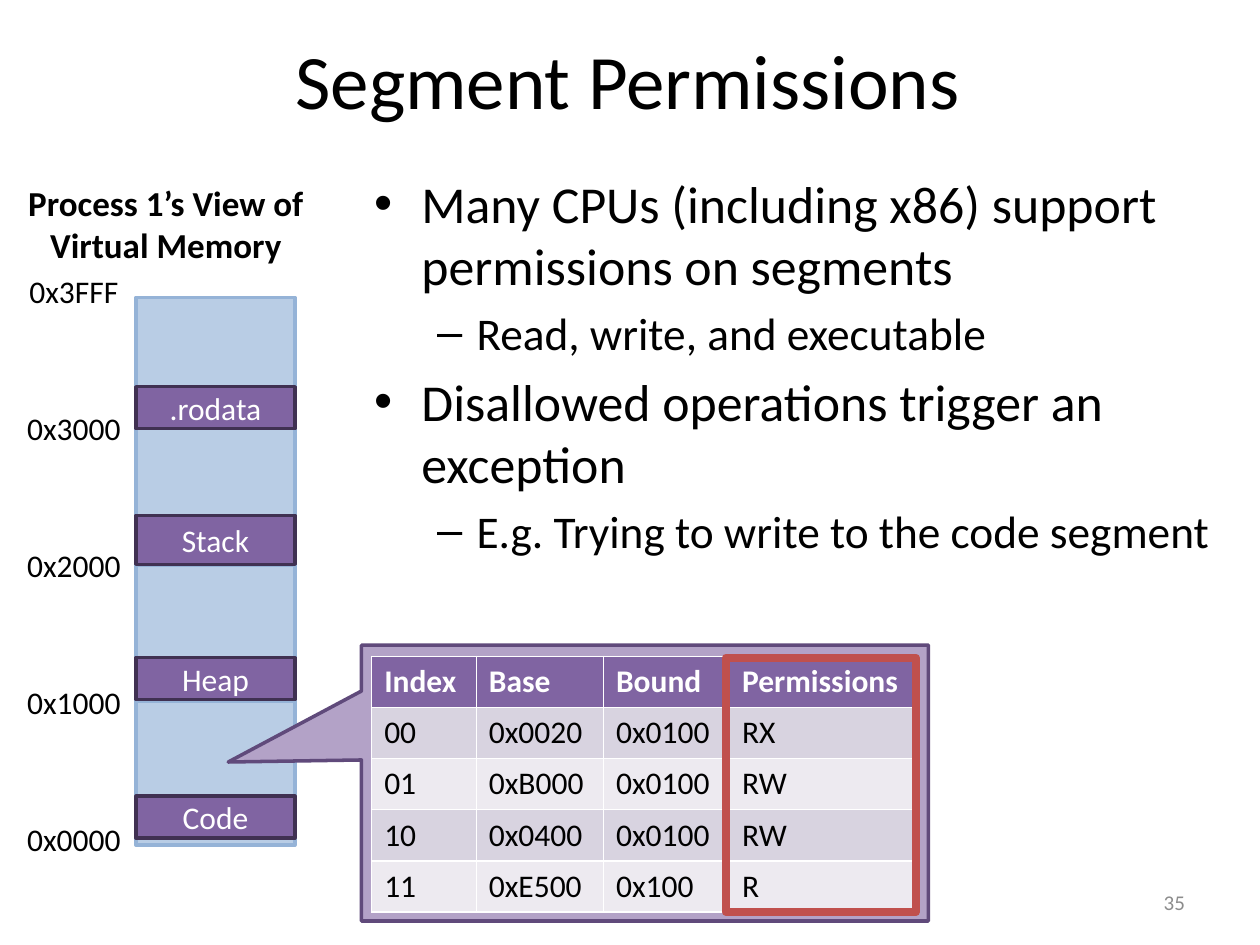
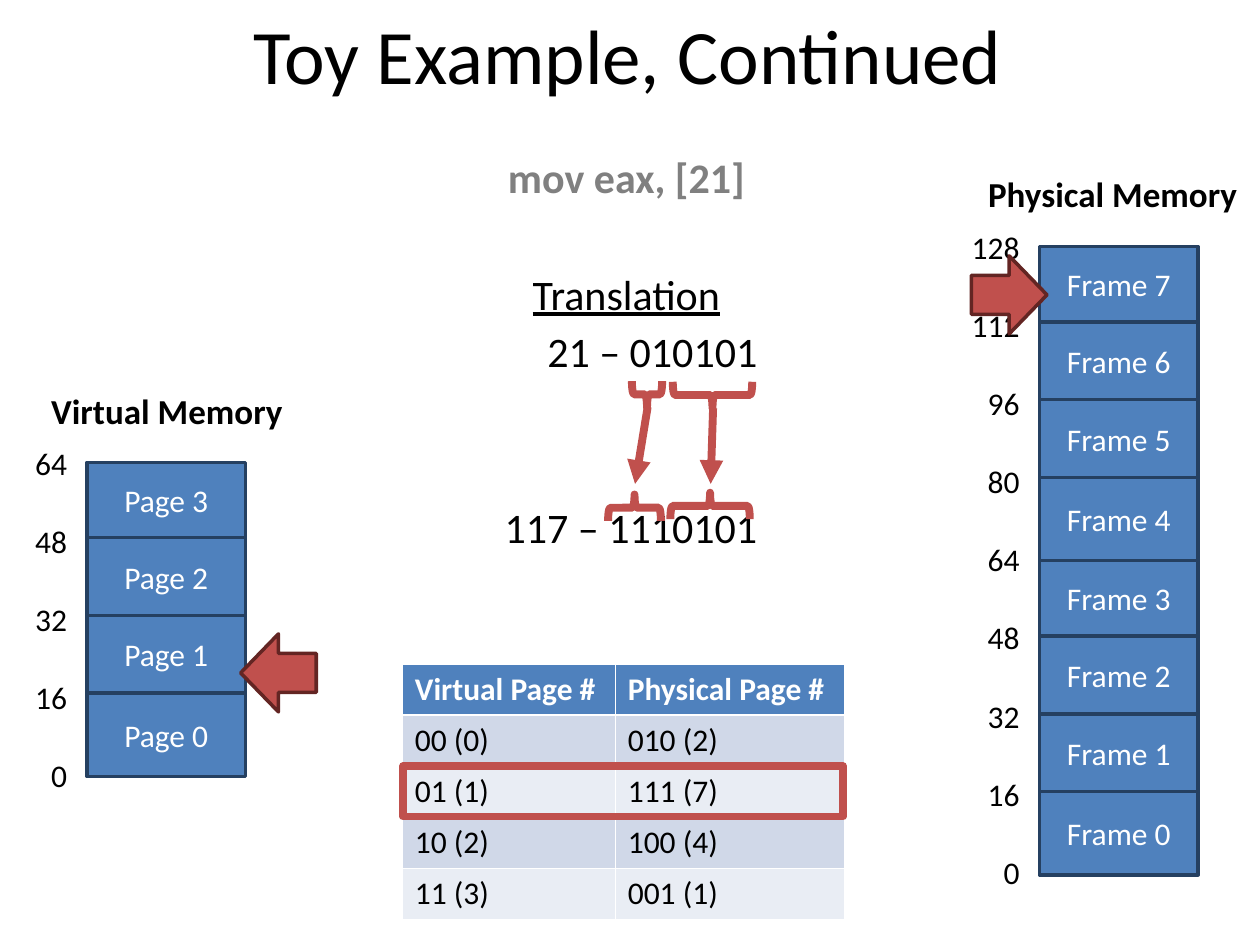
from dataclasses import dataclass
from itertools import cycle, islice

from lxml.etree import SubElement
from pptx import Presentation
from pptx.dml.color import RGBColor as Rgb
from pptx.enum.shapes import MSO_CONNECTOR as Wire, MSO_SHAPE as Kind
from pptx.enum.text import MSO_ANCHOR as Anchor, MSO_AUTO_SIZE as Fit, PP_ALIGN as Align
from pptx.oxml.ns import qn
from pptx.util import Pt


@dataclass(frozen=True)
class Theme:
    font: str = "Calibri"
    ink: str = "000000"
    white: str = "FFFFFF"
    gray: str = "808080"
    pale: str = "8C8C8C"
    sky: str = "B9CDE5"
    rim: str = "95B3D7"
    plum: str = "8064A2"
    dusk: str = "403152"
    lilac: str = "B3A2C7"
    grape: str = "604A7B"
    blue: str = "4F81BD"
    navy: str = "254061"
    red: str = "C0504D"
    wine: str = "632523"
    title: float = 44
    bullet: float = 29.6
    dash: float = 25.9
    code: float = 24
    head: float = 20
    text: float = 18
    note: float = 12
    thin: float = 2
    thick: float = 4.5


look = Theme()


def write(frame, lines, align=None, ink=look.ink, size=look.text, **more):
    form = {"name": look.font, "size": Pt(size), **more}
    for i, line in enumerate(lines):
        para = frame.paragraphs[0] if i == 0 else frame.add_paragraph()
        para.alignment = align
        run = para.add_run()
        run.text = line
        run.font.color.rgb = Rgb.from_string(ink)
        for key, value in form.items():
            setattr(run.font, key, value)


def draw(slide, kind, area, fill=None, line=look.red, width=look.thick, text=None, turn=0):
    shape = slide.shapes.add_shape(kind, *map(Pt, area))
    shape.shadow.inherit = False
    shape.rotation = turn
    if fill:
        shape.fill.solid()
        shape.fill.fore_color.rgb = Rgb.from_string(fill)
    else:
        shape.fill.background()
    shape.line.color.rgb = Rgb.from_string(line)
    shape.line.width = Pt(width)
    if text:
        shape.text_frame.vertical_anchor = Anchor.MIDDLE
        write(shape.text_frame, [text], Align.CENTER, look.white)
    return shape


deck = Presentation()
deck.slide_width, deck.slide_height = Pt(720), Pt(540)

slides, bodies = [], []
for title, high, area in (
    ("Segment Permissions", 90, (206.6, 94.3, 498.2, 252)),
    ("Toy Example, Continued", 61.2, (275.8, 82.8, 164.2, 267.8)),
):
    slide = deck.slides.add_slide(deck.slide_layouts[1])
    head, body = slide.shapes.title, slide.placeholders[1]
    for shape, place in ((head, (3.6, 0, 710.6, high)), (body, area)):
        shape.left, shape.top, shape.width, shape.height = map(Pt, place)
        shape.text_frame.auto_size = Fit.NONE
    head.text_frame.vertical_anchor = Anchor.MIDDLE
    write(head.text_frame, [title], Align.CENTER, size=look.title)
    slides.append(slide)
    bodies.append(body.text_frame)
first, second = slides

points = (
    (0, "Many CPUs (including x86) support permissions on segments"),
    (1, "Read, write, and executable"),
    (0, "Disallowed operations trigger an exception"),
    (1, "E.g. Trying to write to the code segment"),
)
write(bodies[0], [text for level, text in points])
for para, (level, text) in zip(bodies[0].paragraphs, points):
    para.level = level
    para.runs[0].font.size = Pt(look.dash if level else look.bullet)

steps = (
    ("mov eax, [21]", Align.CENTER, 4.2, {"bold": True}, look.gray),
    ("Translation", Align.CENTER, 38, {"underline": True}, look.ink),
    ("21 – 010101", Align.RIGHT, 4.2, {}, look.ink),
    ("117 – 1110101", Align.RIGHT, 71.5, {}, look.ink),
)
write(bodies[1], [step[0] for step in steps], size=look.code)
for para, (text, align, gap, form, ink) in zip(bodies[1].paragraphs, steps):
    para.alignment = align
    para.space_before = Pt(gap)
    props = para._p.get_or_add_pPr()
    props.set("marL", "0")
    props.set("indent", "0")
    SubElement(props, qn("a:buNone"))
    font = para.runs[0].font
    font.color.rgb = Rgb.from_string(ink)
    for key, value in form.items():
        setattr(font, key, value)

bold = {"size": look.head, "bold": True}
labels = [
    (first, ["Process 1’s View of", "Virtual Memory"], (8, 100, 173.5, 55.4), Align.CENTER, bold),
    (first, ["35"], (516.2, 504.7, 168, 21.6), Align.RIGHT, {"size": look.note, "ink": look.pale}),
]
for i, name in enumerate(("0x3FFF", "0x3000", "0x2000", "0x1000", "0x0000")):
    labels.append((first, [name], (8, 152 + 78.3 * i, 68.4, 28.8), Align.CENTER, {}))

edges = (169.9, 245, 323, 400.5, 483)
for top, end in zip(edges, edges[1:]):
    draw(first, Kind.RECTANGLE, (77.8, top, 90.7, end - top), look.sky, look.rim, look.thin)
for name, top, high in ((".rodata", 221, 24), ("Stack", 294.5, 28), ("Heap", 375.8, 24), ("Code", 455, 24)):
    draw(first, Kind.RECTANGLE, (77.8, top, 90.7, high), look.plum, look.dusk, look.thin, name)

call = draw(first, Kind.RECTANGULAR_CALLOUT, (206.6, 368.6, 324, 157.7), look.lilac, look.grape, look.thin)
call.adjustments[0], call.adjustments[1] = -0.735, -0.076

for kind, name, count, left, top, area in (
    ("Page", "Virtual Memory", 4, 49.7, 264.2, (21.6, 218.9, 147.6, 31.7)),
    ("Frame", "Physical Memory", 8, 594, 140.9, (556.6, 95, 158.4, 31.7)),
):
    labels.append((second, [name], area, Align.CENTER, bold))
    start = top - 14
    for i, high in enumerate(islice(cycle((43, 44.5, 44.5, 47.5)), count)):
        draw(second, Kind.RECTANGLE, (left, top, 90.7, high), look.blue, look.navy, look.thin, f"{kind} {count - 1 - i}")
        top += high
    for i in range(count + 1):
        area = (left - 49.3, start + 44.6 * i, 45, 28.8)
        labels.append((second, [str(16 * (count - i))], area, Align.RIGHT, {}))

for slide, lines, area, align, form in labels:
    frame = slide.shapes.add_textbox(*map(Pt, area)).text_frame
    frame.word_wrap = False
    if lines == ["35"]:
        frame.vertical_anchor = Anchor.MIDDLE
        frame.word_wrap = True
    write(frame, lines, align, **form)

for slide, spot, wides, rows, fills, mark in (
    (first, (212.4, 375.1), (59.8, 72.7, 72, 107.3), (
        ("Index", "Base", "Bound", "Permissions"),
        ("00", "0x0020", "0x0100", "RX"),
        ("01", "0xB000", "0x0100", "RW"),
        ("10", "0x0400", "0x0100", "RW"),
        ("11", "0xE500", "0x100", "R"),
    ), (look.plum, "D8D3E0", "EDEAF0"), (414.7, 375.8, 108.7, 145.4)),
    (second, (229.9, 379.4), (121.7, 131), (
        ("Virtual Page #", "Physical Page #"),
        ("00 (0)", "010 (2)"),
        ("01 (1)", "111 (7)"),
        ("10 (2)", "100 (4)"),
        ("11 (3)", "001 (1)"),
    ), (look.blue, "D0D8E8", "E9EDF4"), (230.4, 437.8, 251.3, 28.8)),
):
    size = (sum(wides), 29.2 * len(rows))
    grid = slide.shapes.add_table(len(rows), len(wides), *map(Pt, spot + size)).table
    for col, wide in zip(grid.columns, wides):
        col.width = Pt(wide)
    for i, row in enumerate(rows):
        for j, text in enumerate(row):
            cell = grid.cell(i, j)
            cell.fill.solid()
            cell.fill.fore_color.rgb = Rgb.from_string(fills[0] if i == 0 else fills[2 - i % 2])
            write(cell.text_frame, [text], ink=look.ink if i else look.white, bold=i == 0)
    draw(slide, Kind.RECTANGLE, mark)

for left, top, high, turn in (
    (362.2, 216.7, 17.3, 270),
    (399.6, 203, 45.4, 270),
    (398.2, 266.4, 45.4, 90),
    (355, 275, 30.2, 90),
):
    draw(second, Kind.LEFT_BRACE, (left, top, 15.1, high), turn=turn)

for ends in ((407.5, 233.3, 406.1, 276.5), (370.1, 232.6, 362.9, 276.5)):
    wire = second.shapes.add_connector(Wire.STRAIGHT, *map(Pt, ends))
    wire.line.color.rgb = Rgb.from_string(look.red)
    wire.line.width = Pt(look.thick)
    SubElement(wire.line._get_or_add_ln(), qn("a:tailEnd"), type="triangle")
    SubElement(wire._element.spPr, qn("a:effectLst"))

for left, top, turn in ((555.1, 146.2, 0), (137.5, 362.2, 180)):
    draw(second, Kind.RIGHT_ARROW, (left, top, 43.2, 44.6), look.red, look.wine, look.thin, turn=turn)

deck.save("out.pptx")
